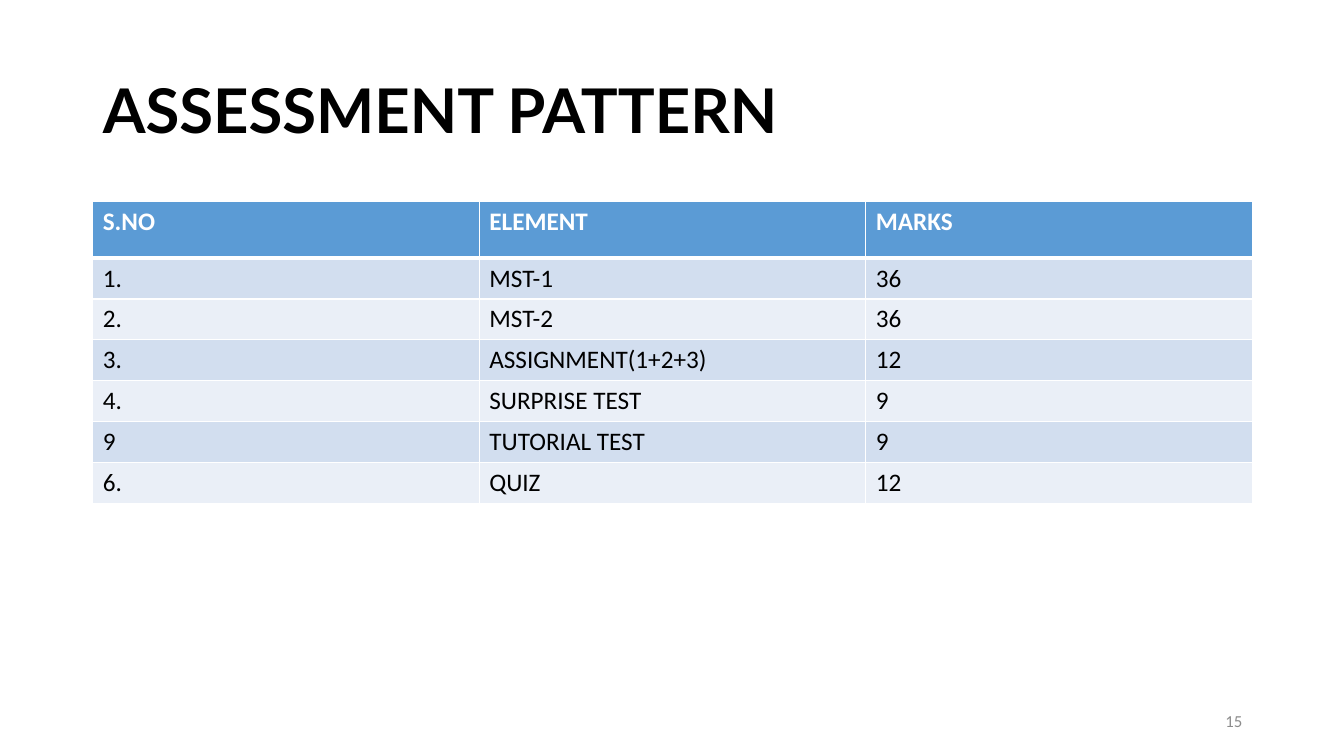
from lxml import etree
from pptx import Presentation
from pptx.dml.color import RGBColor
from pptx.enum import text
from pptx.oxml import ns
from pptx.util import Inches, Pt

WHITE, BLACK, GREY = "FFFFFF", "000000", "8C8C8C"
HEADER_FILL = "5B9BD5"
BAND_FILLS = ("D2DEEF", "EAEFF7")
ASSESSMENTS = (
    ("S.NO", "ELEMENT", "MARKS"),
    ("1.", "MST-1", "36"),
    ("2.", "MST-2", "36"),
    ("3.", "ASSIGNMENT(1+2+3)", "12"),
    ("4.", "SURPRISE TEST", "9"),
    ("9", "TUTORIAL TEST", "9"),
    ("6.", "QUIZ", "12"),
)


def color(value):
    return RGBColor.from_string(value)


def write(frame, words, size=18, font="Calibri", fill=BLACK, bold=False,
          align=text.PP_ALIGN.LEFT, anchor=text.MSO_ANCHOR.MIDDLE, spacing=1.0):
    frame.word_wrap = True
    frame.vertical_anchor = anchor
    paragraph = frame.paragraphs[0]
    paragraph.alignment = align
    paragraph.line_spacing = spacing
    run = paragraph.add_run()
    run.text = words
    run.font.size = Pt(size)
    run.font.name = font
    run.font.bold = bold
    run.font.color.rgb = color(fill)


def set_borders(cell, **widths):
    """Draw white cell borders; keys are L, R, T, B in schema order, widths in points."""
    properties = cell._tc.get_or_add_tcPr()
    for position, (side, width) in enumerate(widths.items()):
        line = etree.Element(ns.qn(f"a:ln{side}"), w=str(Pt(width)))
        solid = etree.SubElement(line, ns.qn("a:solidFill"))
        etree.SubElement(solid, ns.qn("a:srgbClr"), val=WHITE)
        properties.insert(position, line)


def add_title(slide, left, top, width, height):
    title = slide.shapes.title
    title.left, title.top = Inches(left), Inches(top)
    title.width, title.height = Inches(width), Inches(height)
    title.text_frame.auto_size = text.MSO_AUTO_SIZE.NONE
    write(title.text_frame, "ASSESSMENT PATTERN", size=44, font="Lato",
          bold=True, spacing=0.9)


def add_assessment_table(slide, left, top, width, header_height=0.56, row_height=0.405):
    height = header_height + row_height * (len(ASSESSMENTS) - 1)
    table = slide.shapes.add_table(
        len(ASSESSMENTS), len(ASSESSMENTS[0]),
        Inches(left), Inches(top), Inches(width), Inches(height)).table
    for r, entries in enumerate(ASSESSMENTS):
        header = r == 0
        table.rows[r].height = Inches(header_height if header else row_height)
        for c, entry in enumerate(entries):
            cell = table.cell(r, c)
            cell.fill.solid()
            cell.fill.fore_color.rgb = color(
                HEADER_FILL if header else BAND_FILLS[(r - 1) % 2])
            set_borders(cell, L=1, R=1, T=3 if r == 1 else 1, B=3 if header else 1)
            write(cell.text_frame, entry, fill=WHITE if header else BLACK, bold=header)
            cell.vertical_anchor = text.MSO_ANCHOR.TOP


def add_page_number(slide, left, top, width, height):
    number = slide.shapes.add_textbox(
        Inches(left), Inches(top), Inches(width), Inches(height))
    write(number.text_frame, "15", size=12, fill=GREY, align=text.PP_ALIGN.RIGHT)


def main():
    deck = Presentation()
    deck.slide_width, deck.slide_height = Inches(13.33), Inches(7.5)
    slide = deck.slides.add_slide(deck.slide_layouts.get_by_name("Title Only"))
    add_title(slide, 0.92, 0.4, 11.5, 1.45)
    add_assessment_table(slide, 0.92, 2, 11.5)
    add_page_number(slide, 9.42, 6.95, 3, 0.4)
    deck.save("out.pptx")


if __name__ == "__main__":
    main()
